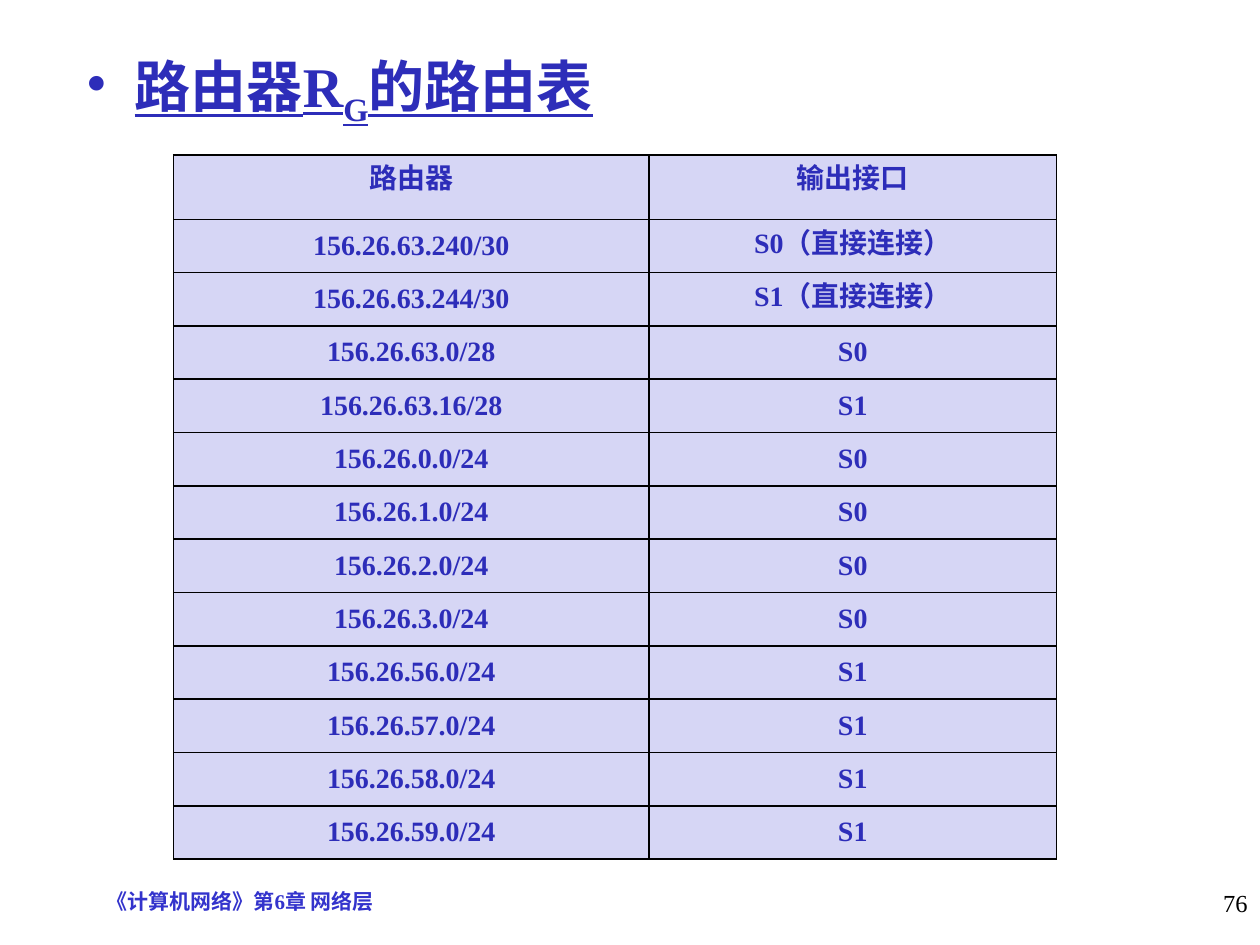
from dataclasses import dataclass

from pptx import Presentation, oxml, util as u
from pptx.dml import color
from pptx.enum import text as t
from pptx.oxml import ns

FACE = "Times New Roman"
INK = "2D2DB9"
FILL = "D6D6F5"
RULE = "000000"


@dataclass
class Note:
    text: str
    left: float
    top: float
    width: float
    height: float
    inset: float
    align: t.PP_ALIGN
    tint: str
    form: dict


@dataclass
class Route:
    net: str
    port: str


NOTES = [
    Note("《计算机网络》第6章 网络层", 1.9, 17.32, 14.8, 1.3, 0.6,
         t.PP_ALIGN.LEFT, "3333CC", {"size": u.Pt(12), "bold": True}),
    Note("76", 20.12, 17.78, 5.28, 1.27, 0.13,
         t.PP_ALIGN.RIGHT, "000000", {"size": u.Pt(14)}),
]

ROUTES = [
    Route("路由器", "输出接口"),
    Route("156.26.63.240/30", "S0（直接连接）"),
    Route("156.26.63.244/30", "S1（直接连接）"),
    Route("156.26.63.0/28", "S0"),
    Route("156.26.63.16/28", "S1"),
    *[Route(f"156.26.{n}.0/24", "S0") for n in range(4)],
    *[Route(f"156.26.{n}.0/24", "S1") for n in range(56, 60)],
]


def paint(item, tint: str) -> None:
    item.rgb = color.RGBColor.from_string(tint)


def apply(item, form: dict) -> None:
    for key, val in form.items():
        setattr(item, key, val)


def style(font, tint: str, form: dict) -> None:
    apply(font, {"name": FACE, **form})
    paint(font.color, tint)


def place(shape, left: float, top: float, width: float, height: float) -> None:
    box = {"left": left, "top": top, "width": width, "height": height}
    apply(shape, {key: u.Cm(val) for key, val in box.items()})


def draw_title(title) -> None:
    place(title, 1.5, 0.91, 20.02, 14.2)
    frame = title.text_frame
    apply(frame, {"word_wrap": True, "auto_size": t.MSO_AUTO_SIZE.NONE,
                  "vertical_anchor": t.MSO_ANCHOR.TOP})
    para = frame.paragraphs[0]
    apply(para, {"alignment": t.PP_ALIGN.LEFT, "space_before": u.Pt(0),
                 "space_after": u.Pt(6)})
    props = para._p.get_or_add_pPr()
    props.set("marL", str(u.Cm(0.96)))
    props.set("indent", str(u.Cm(-0.96)))
    props.append(oxml.parse_xml(f'<a:buChar {ns.nsdecls("a")} char="•"/>'))
    form = {"size": u.Pt(32), "bold": True, "underline": True}
    for words, base in (("路由器R", 0), ("G", -25000), ("的路由表", 0)):
        run = para.add_run()
        run.text = words
        style(run.font, INK, form)
        if base:
            run._r.get_or_add_rPr().set("baseline", str(base))


def draw_note(slide, note: Note) -> None:
    box = slide.shapes.add_textbox(0, 0, 0, 0)
    place(box, note.left, note.top, note.width, note.height)
    frame = box.text_frame
    apply(frame, {"word_wrap": True, "margin_top": u.Cm(note.inset)})
    para = frame.paragraphs[0]
    para.text = note.text
    para.alignment = note.align
    style(para.runs[0].font, note.tint, note.form)


def draw_edges(cell) -> None:
    props = cell._tc.get_or_add_tcPr()
    for side in "LRTB":
        props.append(oxml.parse_xml(
            f'<a:ln{side} {ns.nsdecls("a")} w="{u.Pt(1)}"><a:solidFill>'
            f'<a:srgbClr val="{RULE}"/></a:solidFill></a:ln{side}>'))


def draw_cell(cell, words: str) -> None:
    draw_edges(cell)
    cell.fill.solid()
    paint(cell.fill.fore_color, FILL)
    apply(cell, {"margin_left": u.Cm(0.18), "margin_right": u.Cm(0.18),
                 "margin_top": u.Pt(12), "margin_bottom": 0})
    para = cell.text_frame.paragraphs[0]
    para.text = words
    apply(para, {"alignment": t.PP_ALIGN.CENTER, "line_spacing": u.Pt(12)})
    style(para.runs[0].font, INK, {"size": u.Pt(16), "bold": True})


def draw_table(slide, routes: list[Route]) -> None:
    widths = (9.58, 8.22)
    high, head = 14.2, 1.3
    step = (high - head) / (len(routes) - 1)
    table = slide.shapes.add_table(
        len(routes), len(widths), u.Cm(3.5), u.Cm(3.12),
        u.Cm(sum(widths)), u.Cm(high)).table
    for col, width in zip(table.columns, widths):
        col.width = u.Cm(width)
    for i, (row, route) in enumerate(zip(table.rows, routes)):
        row.height = u.Cm(step if i else head)
        for cell, words in zip(row.cells, (route.net, route.port)):
            draw_cell(cell, words)


def main() -> None:
    deck = Presentation()
    apply(deck, {"slide_width": u.Cm(25.4), "slide_height": u.Cm(19.05)})
    slide = deck.slides.add_slide(deck.slide_layouts[5])
    draw_title(slide.shapes.title)
    for note in NOTES:
        draw_note(slide, note)
    draw_table(slide, ROUTES)
    deck.save("out.pptx")


if __name__ == "__main__":
    main()
